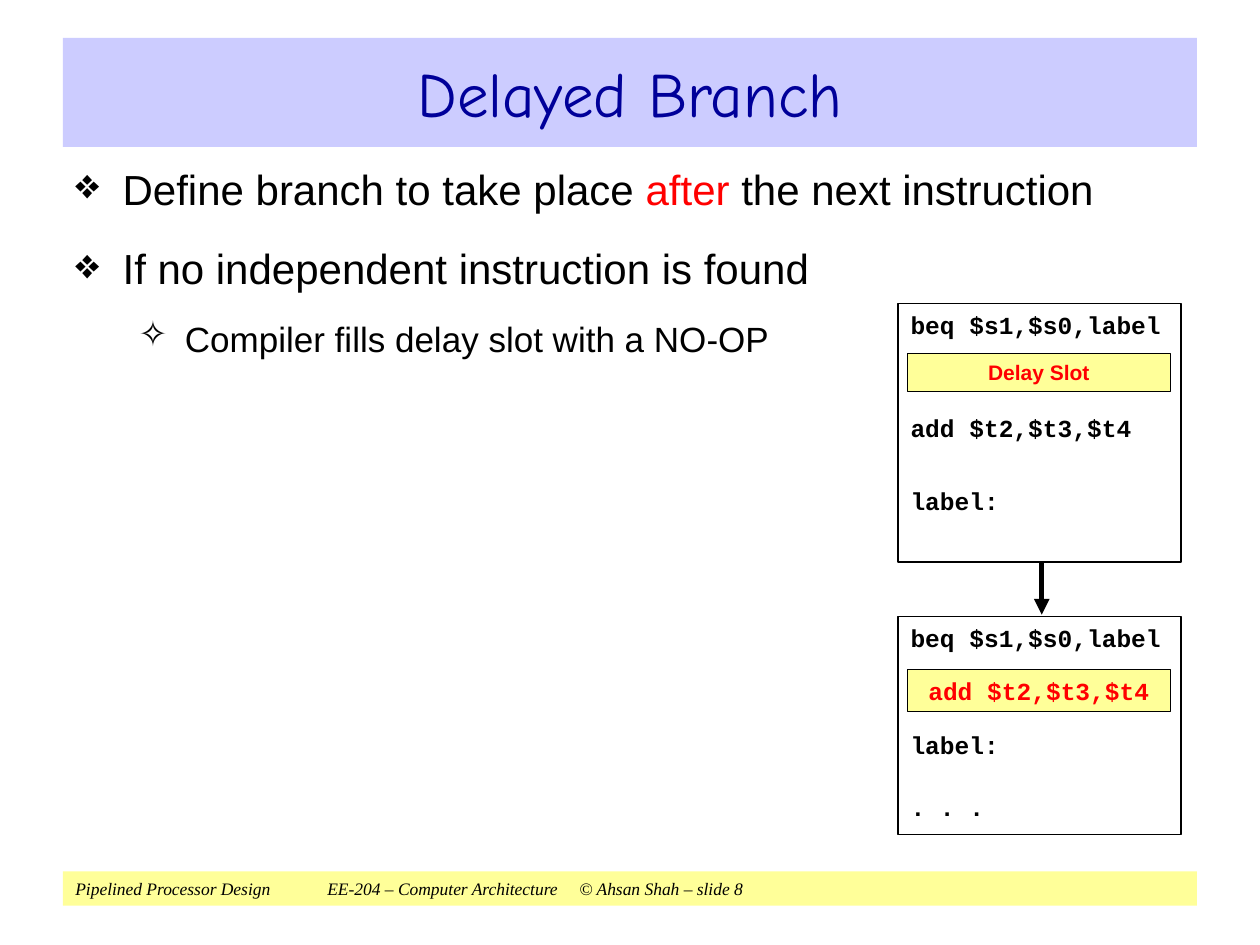
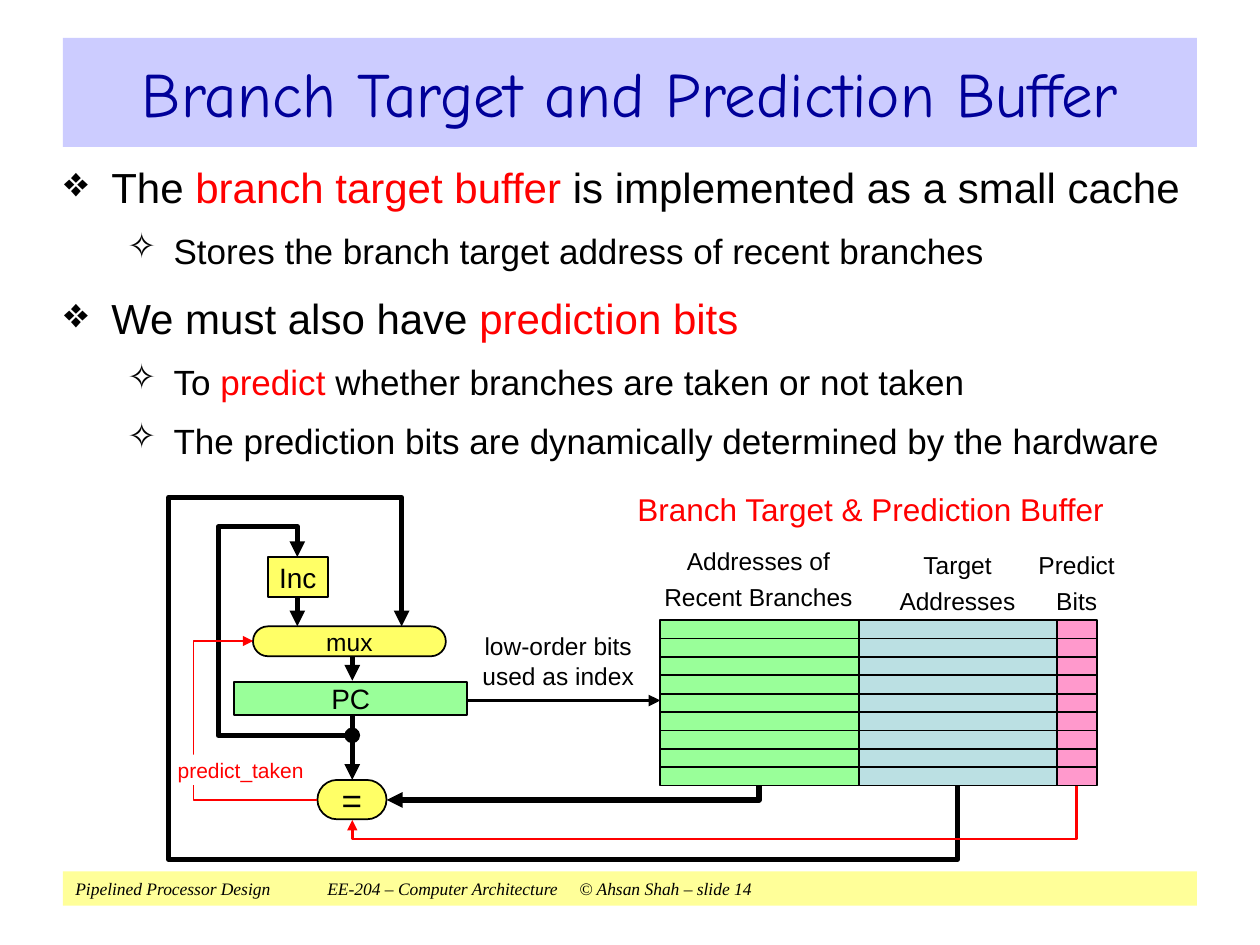
"""Build two lecture slides on delayed branches and branch prediction."""
from itertools import accumulate

from pptx import Presentation
from pptx.dml.color import RGBColor
from pptx.enum import shapes, text
from pptx.oxml.ns import qn
from pptx.util import Pt
from lxml import etree

BLACK = RGBColor(0x00, 0x00, 0x00)
WHITE = RGBColor(0xFF, 0xFF, 0xFF)
RED = RGBColor(0xFF, 0x00, 0x00)
NAVY = RGBColor(0x00, 0x00, 0x99)
LAVENDER = RGBColor(0xCC, 0xCC, 0xFF)
CREAM = RGBColor(0xFF, 0xFF, 0x99)
YELLOW = RGBColor(0xFF, 0xFF, 0x66)
GREEN = RGBColor(0x99, 0xFF, 0x99)
TEAL = RGBColor(0xBB, 0xE0, 0xE3)
PINK = RGBColor(0xFF, 0x99, 0xCC)

RECT = shapes.MSO_SHAPE.RECTANGLE
PILL = shapes.MSO_SHAPE.ROUNDED_RECTANGLE
LEFT, CENTER = text.PP_ALIGN.LEFT, text.PP_ALIGN.CENTER
TOP, MIDDLE = text.MSO_ANCHOR.TOP, text.MSO_ANCHOR.MIDDLE

TITLE_BAND = (36, 21.6, 648, 62.4)
FOOTER_BAND = (36, 498, 648, 19.6)
FOOTER = "Pipelined Processor Design\tEE-204 – Computer Architecture\t© Ahsan Shah – slide {}"
LEVELS = [
    {"bullet": "❖", "size": 24, "left": 27, "hang": 27},
    {"bullet": "✧", "size": 20, "left": 62.6, "hang": 26.6},
]
CODE = {"font": "Courier New", "size": 14, "bold": True}

DELAYED = {
    "title": "Delayed Branch", "number": 8,
    "body": (36, 90, 648, 405), "margins": (7.2, 3.6), "before": (16.5, 13.8),
    "points": [
        (0, "Define branch to take place |after| the next instruction"),
        (0, "If no independent instruction is found"),
        (1, "Compiler fills delay slot with a NO-OP"),
    ],
}
LISTINGS = [
    ((513.2, 173.4, 161.6, 147.8),
     [("beq $s1,$s0,label", 0), ("add $t2,$t3,$t4", 42.4), ("label:", 24.7)]),
    ((513.2, 352.2, 161.6, 124.6),
     [("beq $s1,$s0,label", 0), ("label:", 44.7), (". . .", 18.5)]),
]
SLOTS = [
    ((518.4, 202, 150.5, 21.8), "Delay Slot", {"size": 12, "bold": True}),
    ((518.4, 382.4, 150.5, 24.4), "add $t2,$t3,$t4", CODE),
]
LISTING_ARROW = [(595.3, 321.2), (595.3, 351.2)]

PREDICTION = {
    "title": "Branch Target and Prediction Buffer", "number": 14,
    "body": (36.6, 88.6, 646.6, 193.7), "margins": (0, 3.6), "before": (12, 10),
    "points": [
        (0, "The |branch target buffer| is implemented as a small cache"),
        (1, "Stores the branch target address of recent branches"),
        (0, "We must also have |prediction bits"),
        (1, "To |predict |whether branches are taken or not taken"),
        (1, "The prediction bits are dynamically determined by the hardware"),
    ],
}
BUFFER_LEFT, BUFFER_TOP, ROW_HEIGHT, ROWS = 377.3, 354.4, 10.5, 9
BUFFER_BOTTOM = BUFFER_TOP + ROW_HEIGHT * ROWS
BUFFER_COLUMNS = [(113.4, GREEN), (113.4, TEAL), (22.7, PINK)]
BLOCKS = [
    (PILL, (144.6, 357.9, 110.2, 17.1), "mux", 14, YELLOW),
    (RECT, (133.9, 389.6, 133, 19.2), "PC", 16, GREEN),
    (RECT, (153.1, 318.3, 34.2, 22.8), "Inc", 16, YELLOW),
    (PILL, (181.4, 445.7, 39.5, 22.5), "=", 20, YELLOW),
]
ROUTES = [
    (BLACK, 3, [(433.8, BUFFER_BOTTOM), (433.8, 457.1), (221, 457.1)]),
    (BLACK, 3, [(201.3, 375), (201.3, 389)]),
    (BLACK, 3, [(169.9, 341), (169.9, 357.9)]),
    (BLACK, 2.25, [(266.8, 400.3), (377.3, 400.3)]),
    (BLACK, 3, [(201.3, 409), (201.3, 420.2), (124.8, 420.2), (124.8, 301),
                (169.9, 301), (169.9, 318.3)]),
    (BLACK, 3, [(547.2, BUFFER_BOTTOM), (547.2, 491), (96.4, 491), (96.4, 284.2),
                (229.5, 284.2), (229.5, 357.9)]),
    (RED, 0.75, [(181.4, 457.1), (110.5, 457.1), (110.5, 366.3), (144.7, 366.3)]),
    (RED, 1.5, [(615.2, BUFFER_BOTTOM), (615.2, 479.5), (201.3, 479.5), (201.3, 468.6)]),
]
COMPARE_ARROW = [(201.3, 420.2), (201.3, 445.7)]
LABELS = [
    ((357.1, 278, 280.8, 25.2), ["Branch Target & Prediction Buffer"], 18, RED, 1),
    ((377.3, 309.6, 112.3, 38.9), ["Addresses of Recent Branches"], 14, BLACK, 1.2),
    ((493.2, 311.8, 108, 38.9), ["Target", "Addresses"], 14, BLACK, 1.2),
    ((589.7, 311.8, 51.1, 38.9), ["Predict", "Bits"], 14, BLACK, 1.2),
    ((272.2, 360.7, 93.6, 33.8), ["low-order bits used as index"], 14, BLACK, 1),
]
TAKEN_LABEL = (99.4, 431.3, 76.3, 17.3)


def set_all(target, values):
    for name, value in values.items():
        setattr(target, name, value)


def set_frame(sp, anchor=MIDDLE, margins=(0, 0)):
    tf = sp.text_frame
    x, y = map(Pt, margins)
    set_all(tf, {"word_wrap": True, "vertical_anchor": anchor, "margin_left": x,
                 "margin_right": x, "margin_top": y, "margin_bottom": y})
    return tf


def add_run(p, content, size, colour=BLACK, font="Arial", bold=False, italic=False):
    r = p.add_run()
    r.text = content
    set_all(r.font, {"name": font, "size": Pt(size), "bold": bold, "italic": italic})
    r.font.color.rgb = colour


def write(sp, lines, align=CENTER, spacing=1, anchor=MIDDLE, margins=(0, 0), **fmt):
    """Write (text, space before) lines into a shape."""
    tf = set_frame(sp, anchor, margins)
    for i, (content, before) in enumerate(lines):
        p = tf.add_paragraph() if i else tf.paragraphs[0]
        set_all(p, {"alignment": align, "line_spacing": spacing, "space_before": Pt(before)})
        add_run(p, content, **fmt)


def add_box(s, box, fill=None, line=None, kind=RECT):
    sp = s.shapes.add_shape(kind, *map(Pt, box))
    sp.shadow.inherit = False
    if kind == PILL:
        sp.adjustments[0] = 0.5
    if fill is None:
        sp.fill.background()
    else:
        sp.fill.solid()
        sp.fill.fore_color.rgb = fill
    if line:
        sp.line.color.rgb = BLACK
        sp.line.width = Pt(line)
    else:
        sp.line.fill.background()
    return sp


def add_route(s, points, colour=BLACK, width=3, head=None, tail="triangle"):
    """Draw a straight connector or, with bends, an open freeform."""
    points = [(Pt(x), Pt(y)) for x, y in points]
    if len(points) == 2:
        sp = s.shapes.add_connector(shapes.MSO_CONNECTOR.STRAIGHT, *points[0], *points[1])
    else:
        path = s.shapes.build_freeform(*points[0])
        path.add_line_segments(points[1:], close=False)
        sp = path.convert_to_shape()
        sp.fill.background()
    sp.line.color.rgb = colour
    sp.line.width = Pt(width)
    props = sp.element.spPr
    for tag, end in (("a:headEnd", head), ("a:tailEnd", tail)):
        if end:
            etree.SubElement(props.find(qn("a:ln")), qn(tag), type=end)
    etree.SubElement(props, qn("a:effectLst"))


def add_points(s, content):
    tf = set_frame(s.shapes.add_textbox(*map(Pt, content["body"])), TOP, content["margins"])
    for i, (depth, marked) in enumerate(content["points"]):
        level = LEVELS[depth]
        p = tf.add_paragraph() if i else tf.paragraphs[0]
        p.level = depth
        p.space_before = Pt(content["before"][depth])
        props = p._p.get_or_add_pPr()
        props.set("marL", str(Pt(level["left"])))
        props.set("indent", str(-Pt(level["hang"])))
        colour = etree.SubElement(props, qn("a:buClr"))
        etree.SubElement(colour, qn("a:srgbClr"), val=str(BLACK))
        etree.SubElement(props, qn("a:buChar"), char=level["bullet"])
        for j, part in enumerate(marked.split("|")):
            add_run(p, part, level["size"], RED if j % 2 else BLACK)


def add_slide(prs, content):
    s = prs.slides.add_slide(prs.slide_layouts[6])
    write(add_box(s, FOOTER_BAND, CREAM), [(FOOTER.format(content["number"]), 0)], LEFT,
          margins=(7.2, 0), font="Times New Roman", size=10, italic=True)
    write(add_box(s, TITLE_BAND, LAVENDER), [(content["title"], 0)],
          font="Comic Neue", size=36, colour=NAVY)
    add_points(s, content)
    return s


def add_buffer(s):
    widths = [width for width, _ in BUFFER_COLUMNS]
    edges = accumulate(widths, initial=BUFFER_LEFT)
    for x, (width, fill) in zip(edges, BUFFER_COLUMNS):
        add_box(s, (x, BUFFER_TOP, width, ROW_HEIGHT * ROWS), fill, 1)
        for row in range(1, ROWS):
            y = BUFFER_TOP + row * ROW_HEIGHT
            add_route(s, [(x, y), (x + width, y)], width=1, tail=None)


def build_delayed(prs):
    s = add_slide(prs, DELAYED)
    for box, lines in LISTINGS:
        write(add_box(s, box, line=0.75), lines, LEFT, anchor=TOP, margins=(7.2, 3.6), **CODE)
    for box, content, fmt in SLOTS:
        write(add_box(s, box, CREAM, 0.75), [(content, 0)], colour=RED, **fmt)
    add_route(s, LISTING_ARROW)


def build_prediction(prs):
    s = add_slide(prs, PREDICTION)
    add_buffer(s)
    for kind, box, name, size, fill in BLOCKS:
        write(add_box(s, box, fill, 1, kind), [(name, 0)], size=size)
    for colour, width, points in ROUTES:
        add_route(s, points, colour, width)
    add_route(s, COMPARE_ARROW, head="oval")
    for box, lines, size, colour, spacing in LABELS:
        write(s.shapes.add_textbox(*map(Pt, box)), [(line, 0) for line in lines],
              spacing=spacing, size=size, colour=colour)
    write(add_box(s, TAKEN_LABEL, WHITE), [("predict_taken", 0)], size=12, colour=RED)


def main():
    prs = Presentation()
    set_all(prs, {"slide_width": Pt(720), "slide_height": Pt(540)})
    build_delayed(prs)
    build_prediction(prs)
    prs.save("out.pptx")


if __name__ == "__main__":
    main()
